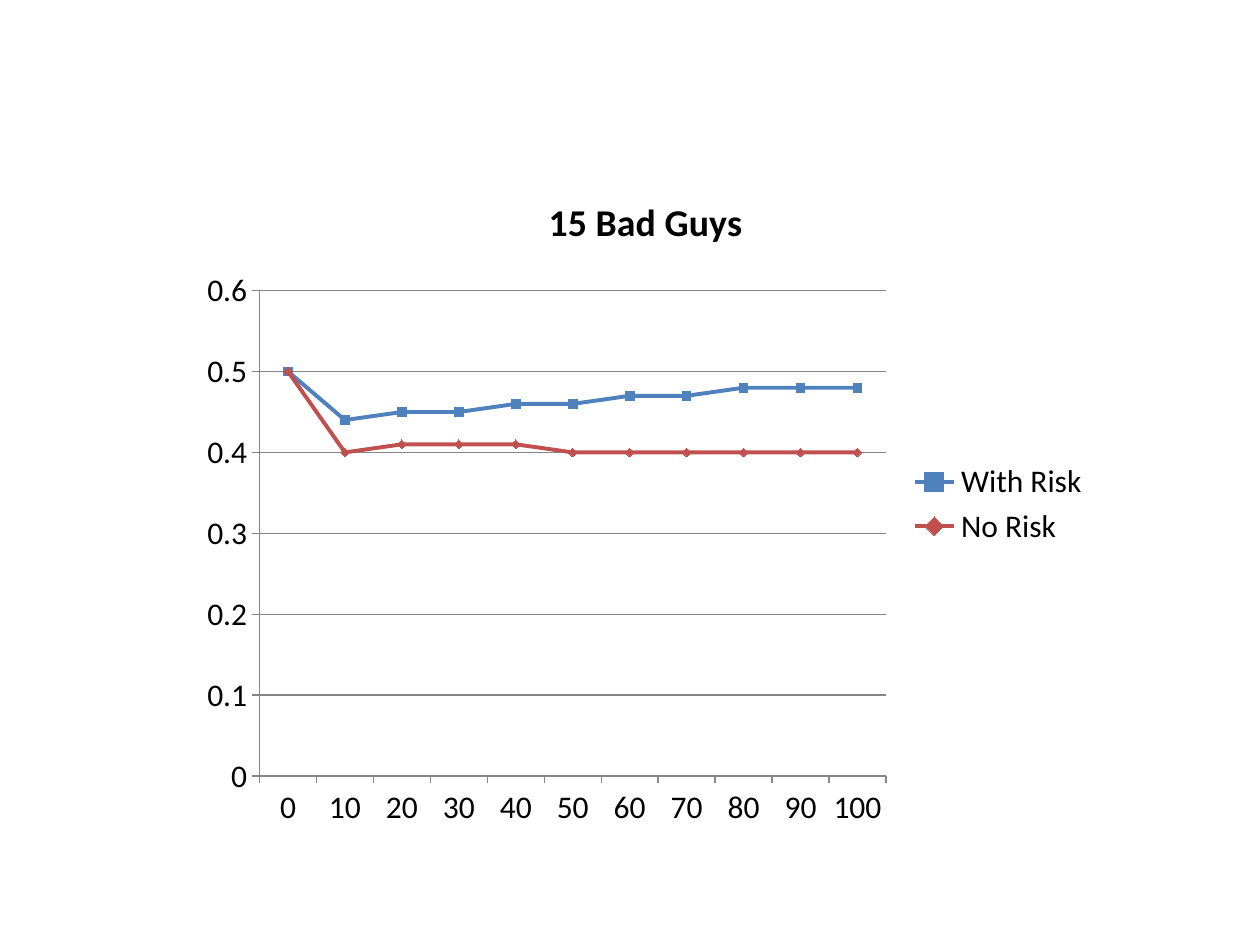
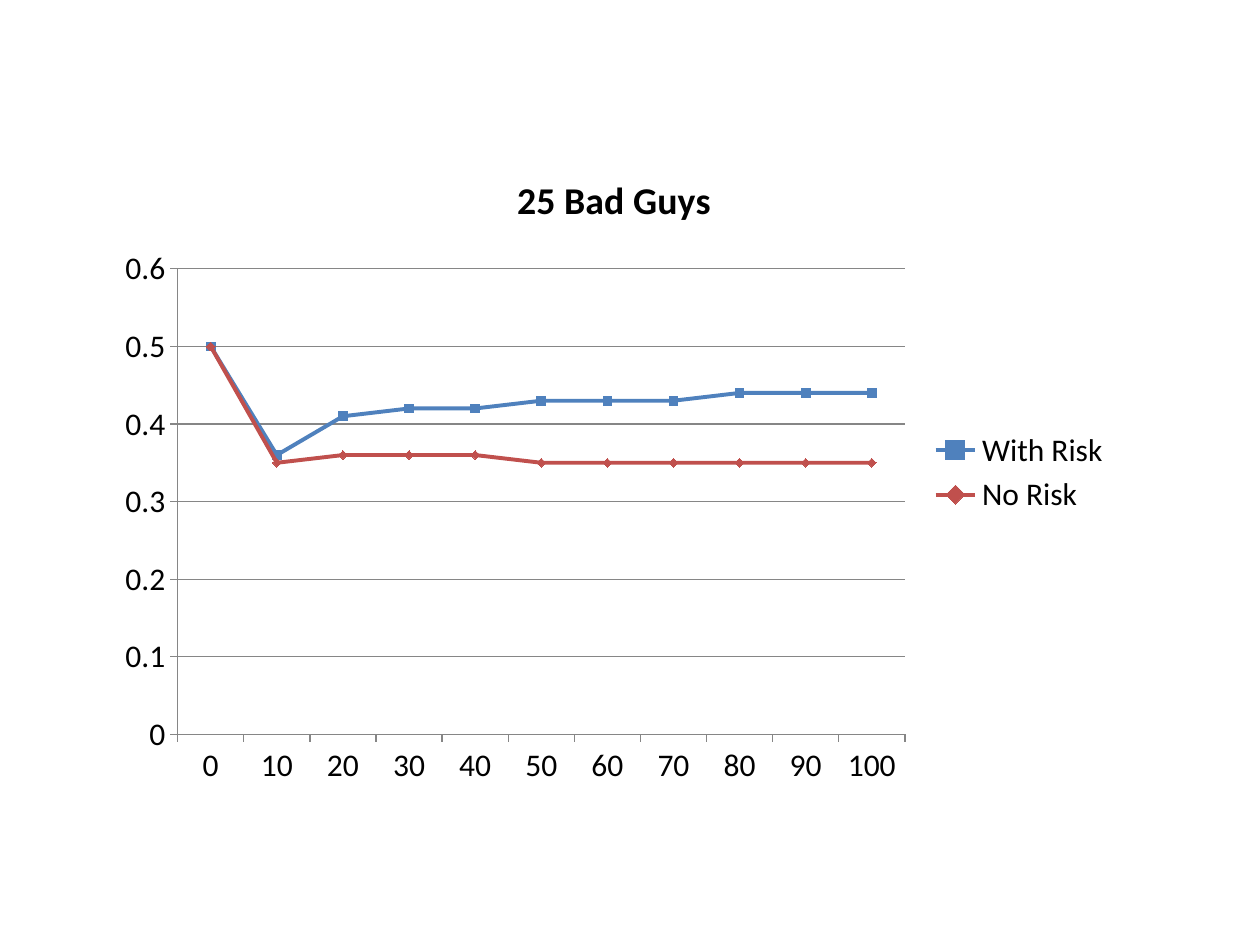
from pptx import Presentation
from pptx.chart.data import CategoryChartData
from pptx.dml.color import RGBColor
from pptx.enum.chart import (XL_CHART_TYPE, XL_LEGEND_POSITION,
                             XL_MARKER_STYLE, XL_TICK_MARK)
from pptx.util import Pt

INK, GRAY = "000000", "868686"
STEPS = [str(n) for n in range(0, 101, 10)]
LINES = {
    "With Risk": ("4F81BD", XL_MARKER_STYLE.SQUARE),
    "No Risk": ("C0504D", XL_MARKER_STYLE.DIAMOND),
}
SLIDES = [
    ("15 Bad Guys", (108, 96, 522, 384), [
        (0.5, 0.44, 0.45, 0.45, 0.46, 0.46, 0.47, 0.47, 0.48, 0.48, 0.48),
        (0.5, 0.4, 0.41, 0.41, 0.41, 0.4, 0.4, 0.4, 0.4, 0.4, 0.4)]),
    ("25 Bad Guys", (60, 84, 582, 372), [
        (0.5, 0.36, 0.41, 0.42, 0.42, 0.43, 0.43, 0.43, 0.44, 0.44, 0.44),
        (0.5, 0.35, 0.36, 0.36, 0.36, 0.35, 0.35, 0.35, 0.35, 0.35, 0.35)]),
]


def color(code):
    """Turn a hex string into a colour."""
    return RGBColor.from_string(code)


def style(item, values):
    """Set each named value on an object."""
    for name, value in values.items():
        setattr(item, name, value)


def font(item, size, bold=False):
    """Set the shared typeface at a given size."""
    style(item, {"name": "Calibri", "size": Pt(size), "bold": bold})
    item.color.rgb = color(INK)


def stroke(line, code, width):
    """Give a line its colour and width."""
    line.color.rgb = color(code)
    line.width = Pt(width)


def head(chart, text):
    """Write the chart title."""
    chart.has_title = True
    chart.chart_title.include_in_layout = False
    frame = chart.chart_title.text_frame
    frame.text = text
    font(frame.paragraphs[0].runs[0].font, 21.6, True)


def axes(chart):
    """Format both axes and the grid."""
    for axis in (chart.category_axis, chart.value_axis):
        style(axis, {"major_tick_mark": XL_TICK_MARK.OUTSIDE,
                     "minor_tick_mark": XL_TICK_MARK.NONE})
        stroke(axis.format.line, GRAY, 0.75)
    chart.category_axis.has_major_gridlines = False
    style(chart.value_axis, {"minimum_scale": 0, "maximum_scale": 0.6,
                             "major_unit": 0.1, "has_major_gridlines": True})
    stroke(chart.value_axis.major_gridlines.format.line, GRAY, 0.75)


def curve(series, code, mark):
    """Format one series and its markers."""
    series.smooth = False
    stroke(series.format.line, code, 2.25)
    style(series.marker, {"style": mark, "size": 5})
    look = series.marker.format
    look.fill.solid()
    look.fill.fore_color.rgb = color(code)
    stroke(look.line, code, 0.75)


def graph(slide, box, title, rows):
    """Place a titled line chart in the given box."""
    data = CategoryChartData(number_format="General")
    data.categories = STEPS
    for name, row in zip(LINES, rows):
        data.add_series(name, row)
    chart = slide.shapes.add_chart(
        XL_CHART_TYPE.LINE_MARKERS, *map(Pt, box), data).chart
    font(chart.font, 18)
    head(chart, title)
    axes(chart)
    chart.has_legend = True
    style(chart.legend, {"position": XL_LEGEND_POSITION.RIGHT,
                         "include_in_layout": False})
    plot = chart.plots[0]
    plot.vary_by_categories = False
    for series, (code, mark) in zip(plot.series, LINES.values()):
        curve(series, code, mark)


def main():
    """Build and save the deck."""
    deck = Presentation()
    style(deck, {"slide_width": Pt(720), "slide_height": Pt(540)})
    for title, box, rows in SLIDES:
        slide = deck.slides.add_slide(deck.slide_layouts[6])
        graph(slide, box, title, rows)
    deck.save("out.pptx")


main()
